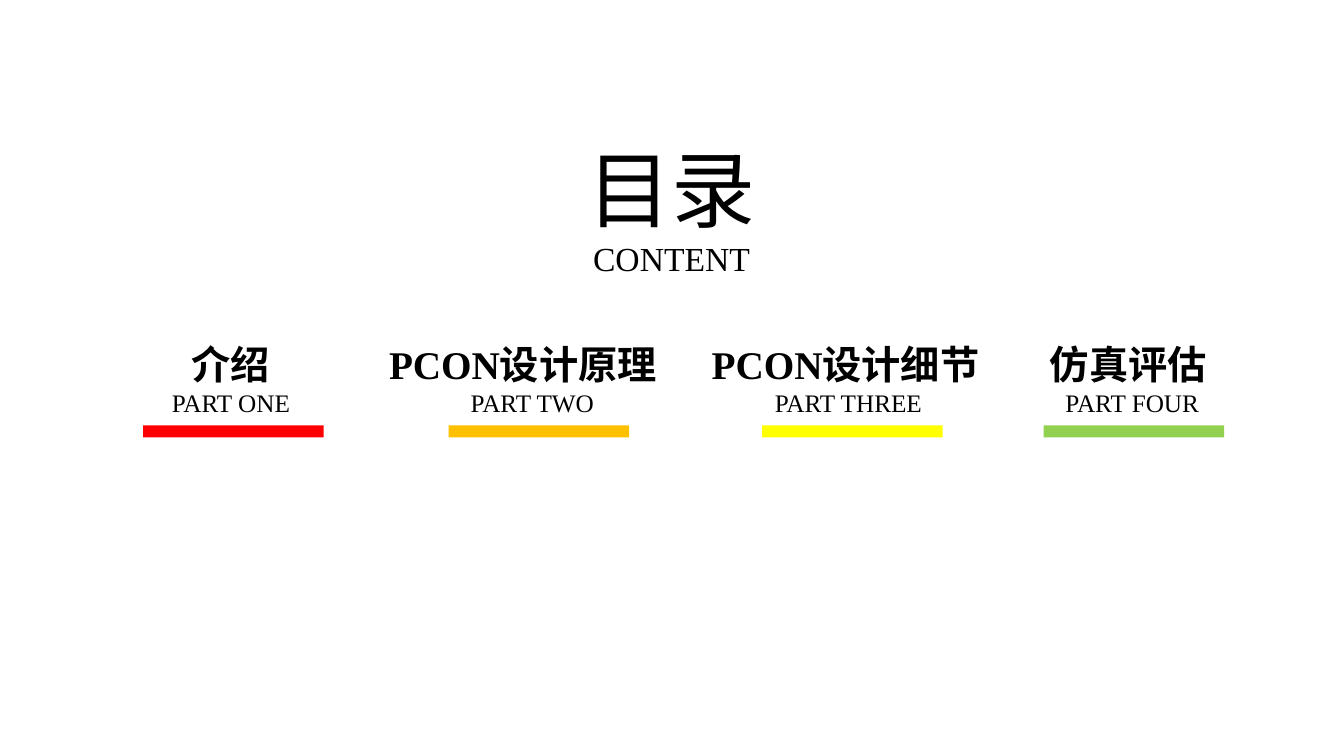
"""Build a contents slide with four colour-coded parts."""
from pptx import Presentation
from pptx.dml.color import RGBColor
from pptx.enum.shapes import MSO_SHAPE
from pptx.enum.text import MSO_AUTO_SIZE, PP_ALIGN
from pptx.util import Inches, Pt

FONT = "Times New Roman"
TITLE = [("目录", 60, False), ("CONTENT", 24, False)]
TITLE_BOX = (5.72, 1.31, 1.88, 1.51)
HEADING_TOP, HEADING_H = 3.19, 0.65
LABEL_TOP, LABEL_H = 3.7, 0.49
BAR_TOP, BAR_W, BAR_H = 4.22, 1.79, 0.12

# heading, (left, width), label, (left, width), bar left, bar colour
PARTS = [
    ("介绍", (1.33, 1.92), "PART ONE", (1.49, 1.6), 1.42, "FF0000"),
    ("PCON设计原理", (3.32, 3.73), "PART TWO", (4.41, 1.74), 4.45, "FFC000"),
    ("PCON设计细节", (6.67, 3.43), "PART THREE", (7.48, 1.87), 7.56, "FFFF00"),
    ("仿真评估", (10.23, 1.92), "PART FOUR", (10.46, 1.54), 10.35, "92D050"),
]


def color(value):
    return RGBColor.from_string(value)


def add_text(s, box, lines, wrap=True, spacing=None):
    tf = s.shapes.add_textbox(*map(Inches, box)).text_frame
    tf.word_wrap = wrap
    tf.auto_size = MSO_AUTO_SIZE.SHAPE_TO_FIT_TEXT
    for i, (text, size, bold) in enumerate(lines):
        p = tf.add_paragraph() if i else tf.paragraphs[0]
        p.alignment = PP_ALIGN.CENTER
        p.line_spacing = spacing
        r = p.add_run()
        r.text = text
        for name, value in {"name": FONT, "size": Pt(size), "bold": bold}.items():
            setattr(r.font, name, value)
        r.font.color.rgb = color("000000")


def add_bar(s, left, fill):
    box = (left, BAR_TOP, BAR_W, BAR_H)
    sp = s.shapes.add_shape(MSO_SHAPE.RECTANGLE, *map(Inches, box))
    sp.shadow.inherit = False
    sp.fill.solid()
    sp.fill.fore_color.rgb = color(fill)
    sp.line.fill.background()


def main():
    prs = Presentation()
    prs.slide_width, prs.slide_height = Inches(13.33), Inches(7.5)
    s = prs.slides.add_slide(prs.slide_layouts[6])
    add_text(s, TITLE_BOX, TITLE, wrap=False)
    for heading, (hx, hw), label, (lx, lw), bar_left, fill in PARTS:
        add_text(s, (lx, LABEL_TOP, lw, LABEL_H), [(label, 18, False)], spacing=1.3)
        add_text(s, (hx, HEADING_TOP, hw, HEADING_H), [(heading, 28, True)], spacing=1.3)
        add_bar(s, bar_left, fill)
    prs.save("out.pptx")


if __name__ == "__main__":
    main()
